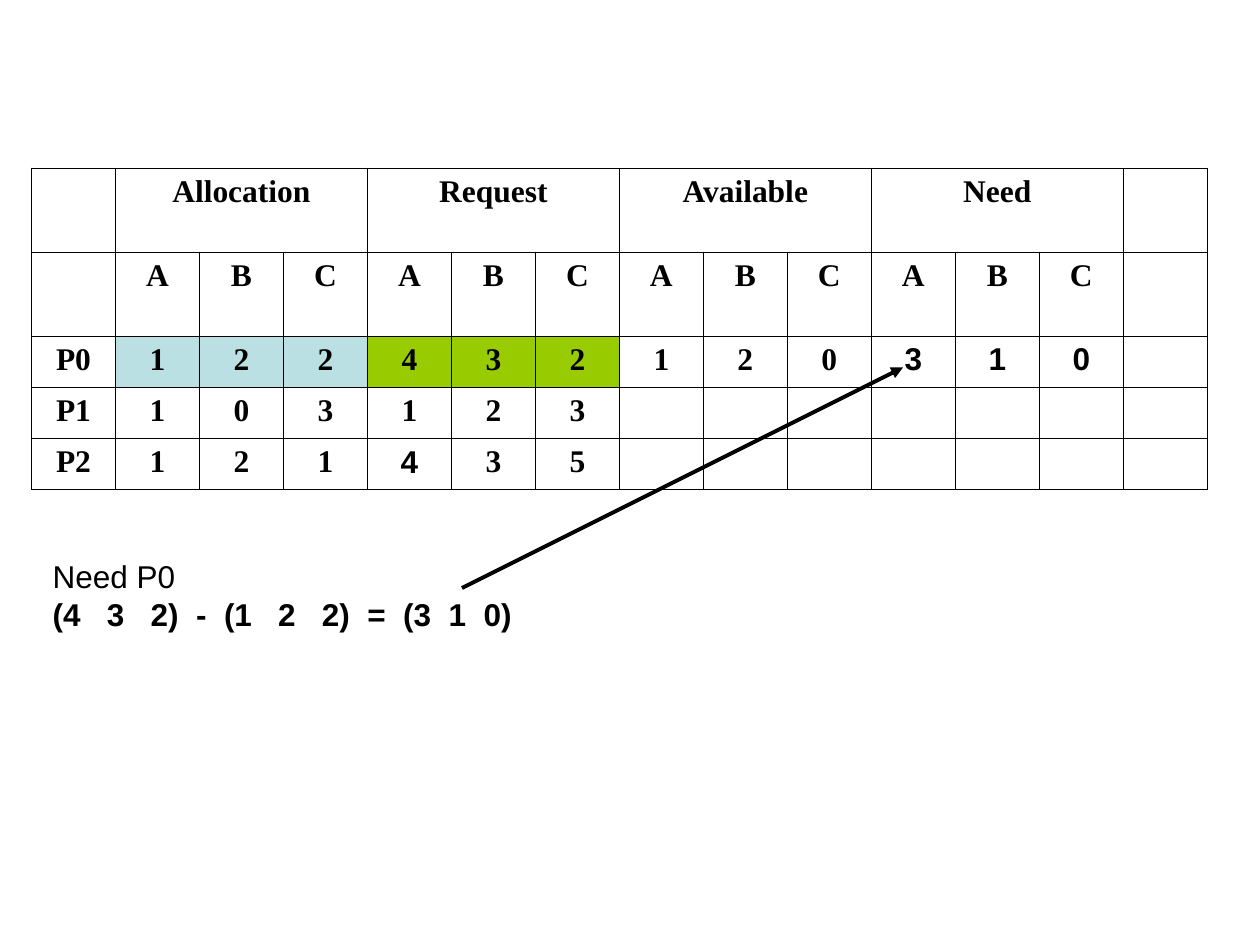
from lxml import etree
from pptx import Presentation
from pptx import util as u
from pptx.dml.color import RGBColor
from pptx.enum import shapes, text
from pptx.oxml import ns

BLACK = RGBColor(0x00, 0x00, 0x00)
PALE_BLUE = RGBColor(0xBB, 0xE0, 0xE3)
GREEN = RGBColor(0x99, 0xCC, 0x00)

SERIF, SANS = "Times New Roman", "Arial"
GRID_COLUMNS = 15  # square grid units across the slide

GROUPS = ["Allocation", "Request", "Available", "Need"]
RESOURCES = ["A", "B", "C"]
PROCESSES = {
    "P0": "122432120310",
    "P1": "103123",
    "P2": "121435",
}
ROW_HEIGHTS = [1, 1, 0.6, 0.6, 0.6]
COLUMN_COUNT = 2 + len(GROUPS) * len(RESOURCES)
P0_FILLS = {column: PALE_BLUE for column in (1, 2, 3)}
P0_FILLS.update({column: GREEN for column in (4, 5, 6)})
SANS_CELLS = {(2, 10), (2, 11), (2, 12), (4, 4)}


def write(paragraph, content, font=SANS, size=18, bold=False, color=BLACK,
          align=text.PP_ALIGN.LEFT):
    paragraph.alignment = align
    run = paragraph.add_run()
    run.text = content
    run.font.name = font
    run.font.size = u.Pt(size)
    run.font.bold = bold
    run.font.color.rgb = color


class SlideBuilder:
    """Places elements on a slide, with lengths in square grid units."""

    def __init__(self, presentation):
        self.slide = presentation.slides.add_slide(presentation.slide_layouts[6])
        self.unit = presentation.slide_width / GRID_COLUMNS
        self.border_width = u.Pt(0.45)
        self.arrow_width = u.Pt(2.25)

    def grid(self, *lengths):
        return [u.Emu(round(length * self.unit)) for length in lengths]

    def table(self, left, top, rows, fills, sans_cells):
        box = self.grid(left, top, COLUMN_COUNT, sum(ROW_HEIGHTS))
        table = self.slide.shapes.add_table(len(rows), COLUMN_COUNT, *box).table
        table.first_row = table.horz_banding = False
        for row, height in zip(table.rows, self.grid(*ROW_HEIGHTS)):
            row.height = height
        for column in table.columns:
            column.width = self.grid(1)[0]
        for r, values in enumerate(rows):
            for c in range(COLUMN_COUNT):
                cell = table.cell(r, c)
                self.style_cell(cell, fills.get((r, c)))
                if c < len(values) and values[c]:
                    write(cell.text_frame.paragraphs[0], values[c], bold=True,
                          font=SANS if (r, c) in sans_cells else SERIF,
                          align=text.PP_ALIGN.CENTER)
        return table

    def style_cell(self, cell, color):
        if color is None:
            cell.fill.background()
        else:
            cell.fill.solid()
            cell.fill.fore_color.rgb = color
        properties = cell._tc.get_or_add_tcPr()
        for index, side in enumerate("LRTB"):
            line = etree.Element(ns.qn(f"a:ln{side}"), w=str(self.border_width))
            fill = etree.SubElement(line, ns.qn("a:solidFill"))
            etree.SubElement(fill, ns.qn("a:srgbClr"), val=str(BLACK))
            properties.insert(index, line)

    def note(self, left, top, width, height, lines):
        """Add a text box from (content, bold) pairs, one per paragraph."""
        shape = self.slide.shapes.add_textbox(*self.grid(left, top, width, height))
        frame = shape.text_frame
        frame.word_wrap = False
        frame.auto_size = text.MSO_AUTO_SIZE.SHAPE_TO_FIT_TEXT
        for index, (content, bold) in enumerate(lines):
            paragraph = frame.add_paragraph() if index else frame.paragraphs[0]
            write(paragraph, content, bold=bold)

    def arrow(self, start, end):
        connector = self.slide.shapes.add_connector(
            shapes.MSO_CONNECTOR.STRAIGHT, *self.grid(*start, *end))
        connector.line.color.rgb = BLACK
        connector.line.width = self.arrow_width
        etree.SubElement(connector.line._get_or_add_ln(), ns.qn("a:tailEnd"),
                         type="triangle")
        etree.SubElement(connector._element.spPr, ns.qn("a:effectLst"))


def main():
    presentation = Presentation()
    presentation.slide_width, presentation.slide_height = u.Inches(10), u.Inches(7.5)
    builder = SlideBuilder(presentation)

    span = len(RESOURCES)
    group_row = [""]
    for group in GROUPS:
        group_row += [group] + [""] * (span - 1)
    rows = [group_row, [""] + RESOURCES * len(GROUPS)]
    rows += [[process, *values] for process, values in PROCESSES.items()]
    fills = {(2, column): color for column, color in P0_FILLS.items()}

    table = builder.table(0.375, 2, rows, fills, SANS_CELLS)
    for first in range(1, COLUMN_COUNT - 1, span):
        table.cell(0, first).merge(table.cell(0, first + span - 1))

    builder.note(0.48, 6.56, 5.85, 1.05, [
        ("Need P0", False),
        ("(4   3   2)  -  (1   2   2)  =  (3  1  0)", True),
    ])
    builder.arrow((5.5, 7), (10.75, 4.375))
    presentation.save("out.pptx")


if __name__ == "__main__":
    main()
